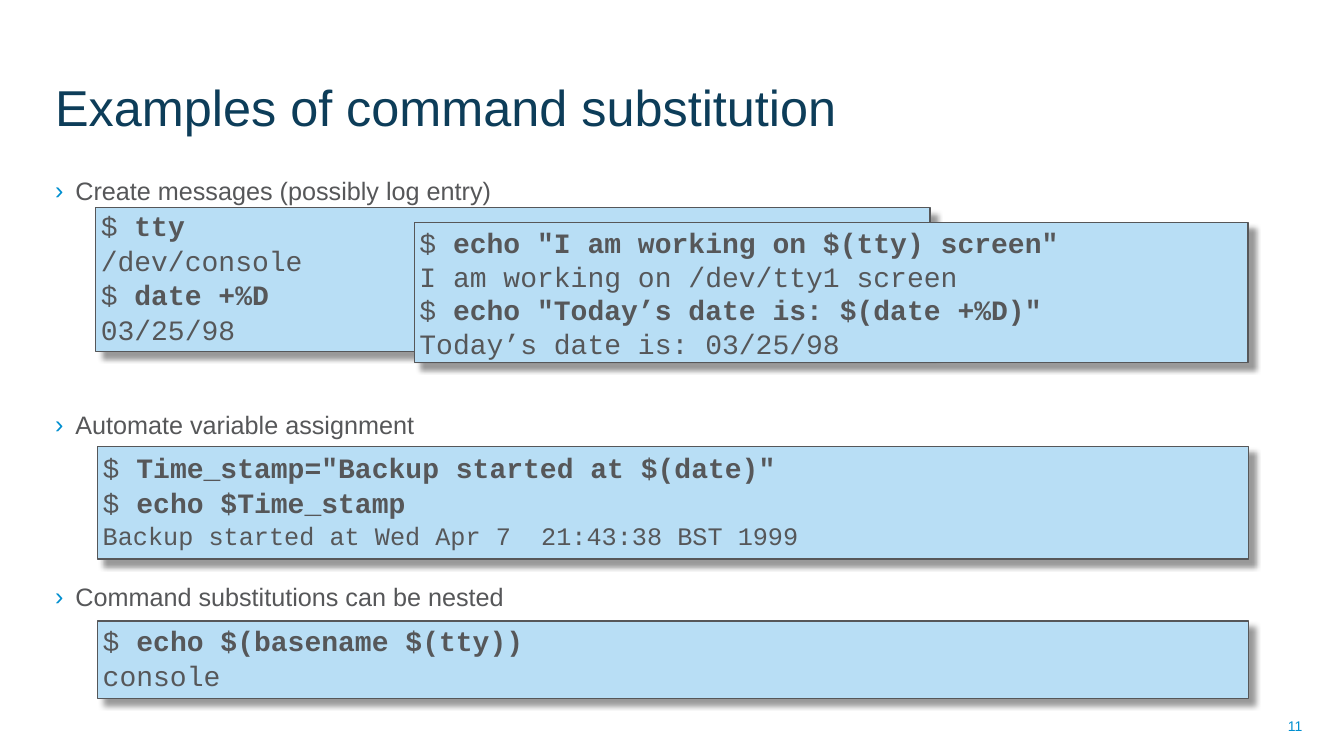
import pptx
import pptx.dml.color
import pptx.enum.shapes
import pptx.enum.text
import pptx.oxml
import pptx.oxml.ns
import pptx.util

Cm = pptx.util.Cm
Pt = pptx.util.Pt
RGBColor = pptx.dml.color.RGBColor
ANCHOR = pptx.enum.text.MSO_ANCHOR
ALIGN = pptx.enum.text.PP_ALIGN

NAVY = RGBColor(0x0D, 0x3D, 0x59)
BLUE = RGBColor(0x00, 0x8F, 0xD0)
GREY = RGBColor(0x56, 0x57, 0x59)
PALE = RGBColor(0xB8, 0xDE, 0xF5)

NS = pptx.oxml.ns.nsdecls("a")
SHADOW = (
    f'<a:outerShdw {NS} blurRad="{Pt(4)}" dist="{Pt(6)}" dir="2700000" algn="tl" '
    'rotWithShape="0"><a:srgbClr val="000000"><a:alpha val="40000"/>'
    '</a:srgbClr></a:outerShdw>'
)
BULLET = (
    f'<a:buClr {NS}><a:srgbClr val="{BLUE}"/></a:buClr>',
    f'<a:buFont {NS} typeface="Arial"/>',
    f'<a:buChar {NS} char="›"/>',
)

TOPICS = (
    ("Create messages (possibly log entry)", 0),
    ("Automate variable assignment", 145.7),
    ("Command substitutions can be nested", 101.4),
)
TTY = ("$ tty", "/dev/console", "$ date +%D", "03/25/98")
ECHO = (
    '$ echo "I am working on $(tty) screen"',
    "I am working on /dev/tty1 screen",
    '$ echo "Today’s date is: $(date +%D)"',
    "Today’s date is: 03/25/98",
)
STAMP = (
    '$ Time_stamp="Backup started at $(date)"',
    "$ echo $Time_stamp",
    "Backup started at Wed Apr 7  21:43:38 BST 1999",
)
NEST = ("$ echo $(basename $(tty))", "console")


def style(item, form):
    """Set each attribute named in a dict of format values."""
    for key, val in form.items():
        setattr(item, key, val)


def paint(font, color, form):
    """Give a font its colour and its other values."""
    style(font, form)
    font.color.rgb = color


def label(slide, box, text, color, size, anchor, align):
    """Place one line of text in the box."""
    frame = slide.shapes.add_textbox(*map(Cm, box)).text_frame
    style(frame, {"word_wrap": True, "vertical_anchor": anchor})
    para = frame.paragraphs[0]
    style(para, {"text": text, "alignment": align})
    paint(para.runs[0].font, color, {"name": "Arial", "size": Pt(size)})


def topics(slide, box, items):
    """Place the bulleted topics, each after its own gap."""
    frame = slide.shapes.add_textbox(*map(Cm, box)).text_frame
    frame.word_wrap = True
    for num, (text, gap) in enumerate(items):
        para = frame.add_paragraph() if num else frame.paragraphs[0]
        para.text = text
        if gap:
            para.space_before = Pt(gap)
        props = para._p.get_or_add_pPr()
        props.set("marL", str(Cm(0.51)))
        props.set("indent", str(-Cm(0.51)))
        for mark in BULLET:
            props.append(pptx.oxml.parse_xml(mark))
        paint(para.runs[0].font, GREY, {"name": "Arial", "size": Pt(18)})


def code(slide, box, lines, pitch=0.9, gap=3, last=20):
    """Place a shadowed code panel with typed commands in bold."""
    rect = pptx.enum.shapes.MSO_SHAPE.RECTANGLE
    panel = slide.shapes.add_shape(rect, *map(Cm, box))
    panel.shadow.inherit = False
    glow = panel.element.spPr.find(pptx.oxml.ns.qn("a:effectLst"))
    glow.append(pptx.oxml.parse_xml(SHADOW))
    panel.fill.solid()
    panel.fill.fore_color.rgb = PALE
    panel.line.color.rgb = GREY
    panel.line.width = Pt(1)
    frame = panel.text_frame
    style(frame, {
        "word_wrap": True, "vertical_anchor": ANCHOR.MIDDLE,
        "margin_left": Cm(0.13), "margin_right": Cm(0.13),
        "margin_top": Cm(0.05), "margin_bottom": Cm(0.05),
    })
    for num, line in enumerate(lines):
        para = frame.add_paragraph() if num else frame.paragraphs[0]
        style(para, {"alignment": ALIGN.LEFT, "line_spacing": pitch})
        if num:
            para.space_before = Pt(gap)
        size = last if num == len(lines) - 1 else 20
        typed = line.startswith("$ ")
        parts = (("$ ", False), (line[2:], True)) if typed else ((line, False),)
        for text, bold in parts:
            run = para.add_run()
            run.text = text
            paint(run.font, GREY, {"name": "Courier New", "size": Pt(size), "bold": bold})


def main():
    """Build the slide and save it."""
    deck = pptx.Presentation()
    style(deck, {"slide_width": Cm(33.87), "slide_height": Cm(19.05)})
    slide = deck.slides.add_slide(deck.slide_layouts[6])
    label(slide, (25.17, 17.78, 7.9, 1.02), "11", BLUE, 10, ANCHOR.MIDDLE, ALIGN.RIGHT)
    topics(slide, (1.14, 4.29, 31.67, 12.62), TOPICS)
    label(slide, (1.14, 0.36, 25.35, 3.2), "Examples of command substitution",
          NAVY, 36, ANCHOR.BOTTOM, ALIGN.LEFT)
    code(slide, (2.46, 15.65, 29.01, 1.96), NEST)
    code(slide, (2.46, 11.25, 29.01, 2.84), STAMP, last=18)
    code(slide, (2.41, 5.23, 21.03, 3.63), TTY)
    code(slide, (10.44, 5.61, 21.01, 3.53), ECHO, pitch=1.0, gap=0)
    deck.save("out.pptx")


if __name__ == "__main__":
    main()
